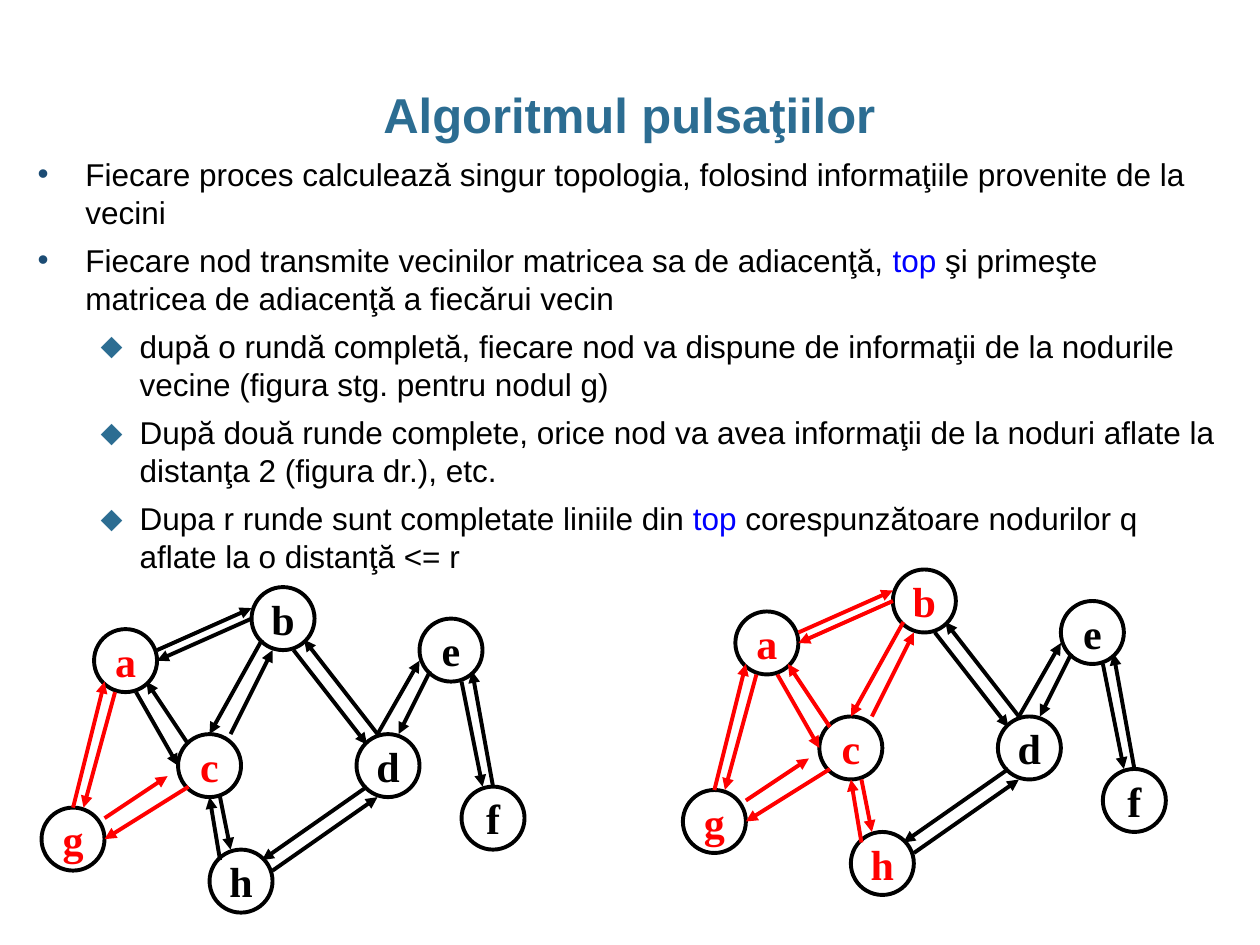
from lxml import etree
from pptx import Presentation
from pptx.dml.color import RGBColor
from pptx.enum.shapes import MSO_CONNECTOR, MSO_SHAPE
from pptx.enum.text import MSO_ANCHOR as Anchor, PP_ALIGN as Align
from pptx.oxml.ns import qn
from pptx.util import Inches, Pt

COLORS = {"title": "2C6D92", "bullet": "1C4C74", "text": "000000",
          "term": "0000FF", "line": "000000", "known": "FF0000"}

# Graph positions are counted in steps of a twelfth of an inch.
STEP = 1 / 12
NODE_SIZE = 6
NODES = {"b": (20, 0), "a": (5, 4), "c": (13, 14), "d": (30, 14),
         "e": (36, 3), "h": (16, 25), "f": (40, 19), "g": (0, 21)}
EDGES = {
    "bc": (21, 5, 16, 14), "cb": (18, 14, 22, 6),
    "ba": (20, 3, 11, 7), "ab": (11, 6, 20, 2),
    "bd": (24, 6, 31, 15), "db": (32, 14, 25, 5),
    "dh": (31, 19, 21, 26), "hd": (22, 27, 32, 20),
    "cg": (14, 19, 6, 24), "gc": (6, 22, 12, 18),
    "ef": (40, 9, 42, 19), "fe": (43, 19, 41, 8),
    "ed": (37, 8, 34, 14), "de": (32, 14, 36, 7),
    "ac": (9, 10, 13, 17), "ca": (14, 15, 10, 9),
    "ch": (17, 20, 18, 25), "hc": (17, 26, 16, 20),
    "ag": (7, 10, 4, 21), "ga": (3, 21, 6, 9),
}
GRAPH_ORIGINS = [(0.33, 4.66), (5.42, 4.52)]

# Each item: level, then (text, colour name) spans.
ITEMS = [
    (0, [("Fiecare proces calculează singur topologia, folosind informaţiile "
          "provenite de la vecini", "text")]),
    (0, [("Fiecare nod transmite vecinilor matricea sa de adiacenţă, ", "text"),
         ("top ", "term"),
         ("şi primeşte matricea de adiacenţă a fiecărui vecin", "text")]),
    (1, [("după o rundă completă, fiecare nod va dispune de informaţii de la "
          "nodurile vecine (figura stg. pentru nodul g)", "text")]),
    (1, [("După două runde complete, orice nod va avea informaţii de la noduri "
          "aflate la distanţa 2 (figura dr.), etc.", "text")]),
    (1, [("Dupa r runde sunt completate liniile din ", "text"),
         ("top ", "term"),
         ("corespunzătoare nodurilor q aflate la o distanţă <= r", "text")]),
]
# Per level: margin, hanging indent, bullet character, bullet colour.
LEVELS = [(0.38, 0.38, "•", "bullet"), (0.81, 0.31, "⬥", "title")]


def rgb(name):
    return RGBColor.from_string(COLORS[name])


class SlideWriter:
    """Holds the style and the slide being filled."""
    body_font = "Arial"
    node_font = "Times New Roman"
    line_width = Pt(2.25)

    def __init__(self, slide):
        self.slide = slide

    def set_font(self, font, name, size, color=None, bold=False):
        font.name, font.size, font.bold = name, Pt(size), bold
        if color:
            font.color.rgb = rgb(color)

    def text_frame(self, left, top, width, height):
        box = self.slide.shapes.add_textbox(
            Inches(left), Inches(top), Inches(width), Inches(height))
        box.text_frame.word_wrap = True
        return box.text_frame

    def title(self, text):
        frame = self.text_frame(0.34, 0.68, 9.31, 0.5)
        frame.margin_left = frame.margin_right = 0
        frame.vertical_anchor = Anchor.MIDDLE
        para = frame.paragraphs[0]
        para.text = text
        para.alignment = Align.CENTER
        para.line_spacing = 0.95
        self.set_font(para.font, self.body_font, 28, "title", bold=True)

    def bullets(self, items):
        frame = self.text_frame(0.2, 1.18, 9.58, 3.75)
        for index, (level, spans) in enumerate(items):
            para = frame.add_paragraph() if index else frame.paragraphs[0]
            para.level = level
            para.space_after = Pt(6)
            self.add_bullet(para, *LEVELS[level])
            self.set_font(para.font, self.body_font, 18)
            for text, color in spans:
                span = para.add_run()
                span.text = text
                span.font.color.rgb = rgb(color)

    def add_bullet(self, para, margin, hanging, char, color):
        props = para._p.get_or_add_pPr()
        props.set("marL", str(Inches(margin)))
        props.set("indent", str(-Inches(hanging)))
        bullet_color = etree.SubElement(props, qn("a:buClr"))
        etree.SubElement(bullet_color, qn("a:srgbClr"), val=COLORS[color])
        etree.SubElement(props, qn("a:buFont"), typeface=self.body_font)
        etree.SubElement(props, qn("a:buChar"), char=char)

    def node(self, group, label, left, top, color):
        size = Inches(NODE_SIZE * STEP)
        circle = group.shapes.add_shape(
            MSO_SHAPE.OVAL, Inches(left), Inches(top), size, size)
        circle.shadow.inherit = False
        circle.fill.background()
        circle.line.color.rgb = rgb("line")
        circle.line.width = self.line_width
        frame = circle.text_frame
        frame.word_wrap = False
        frame.vertical_anchor = Anchor.MIDDLE
        para = frame.paragraphs[0]
        para.text = label
        para.alignment = Align.CENTER
        self.set_font(para.font, self.node_font, 24, color, bold=True)

    def arrow(self, group, ends, color):
        line = group.shapes.add_connector(
            MSO_CONNECTOR.STRAIGHT, *(Inches(end) for end in ends))
        line.line.color.rgb = rgb(color)
        line.line.width = self.line_width
        etree.SubElement(line.line._get_or_add_ln(), qn("a:tailEnd"), type="triangle")
        etree.SubElement(line._element.spPr, qn("a:effectLst"))

    def graph(self, origin, senders, known):
        """Draw the network with known nodes and the links of senders marked."""
        left, top = origin
        group = self.slide.shapes.add_group_shape()
        for label, (x, y) in NODES.items():
            color = "known" if label in known else "line"
            self.node(group, label, left + x * STEP, top + y * STEP, color)
        for edge, (x1, y1, x2, y2) in EDGES.items():
            ends = (left + x1 * STEP, top + y1 * STEP,
                    left + x2 * STEP, top + y2 * STEP)
            self.arrow(group, ends, "known" if senders & set(edge) else "line")


def main():
    deck = Presentation()
    deck.slide_width, deck.slide_height = Inches(10), Inches(7.5)
    writer = SlideWriter(deck.slides.add_slide(deck.slide_layouts[6]))
    writer.title("Algoritmul pulsaţiilor")
    writer.bullets(ITEMS)

    # Every round extends the knowledge of node g by one hop.
    known = {"g"}
    for origin in GRAPH_ORIGINS:
        senders = known
        known = senders.union(*(edge for edge in EDGES if senders & set(edge)))
        writer.graph(origin, senders, known)
    deck.save("out.pptx")


if __name__ == "__main__":
    main()
